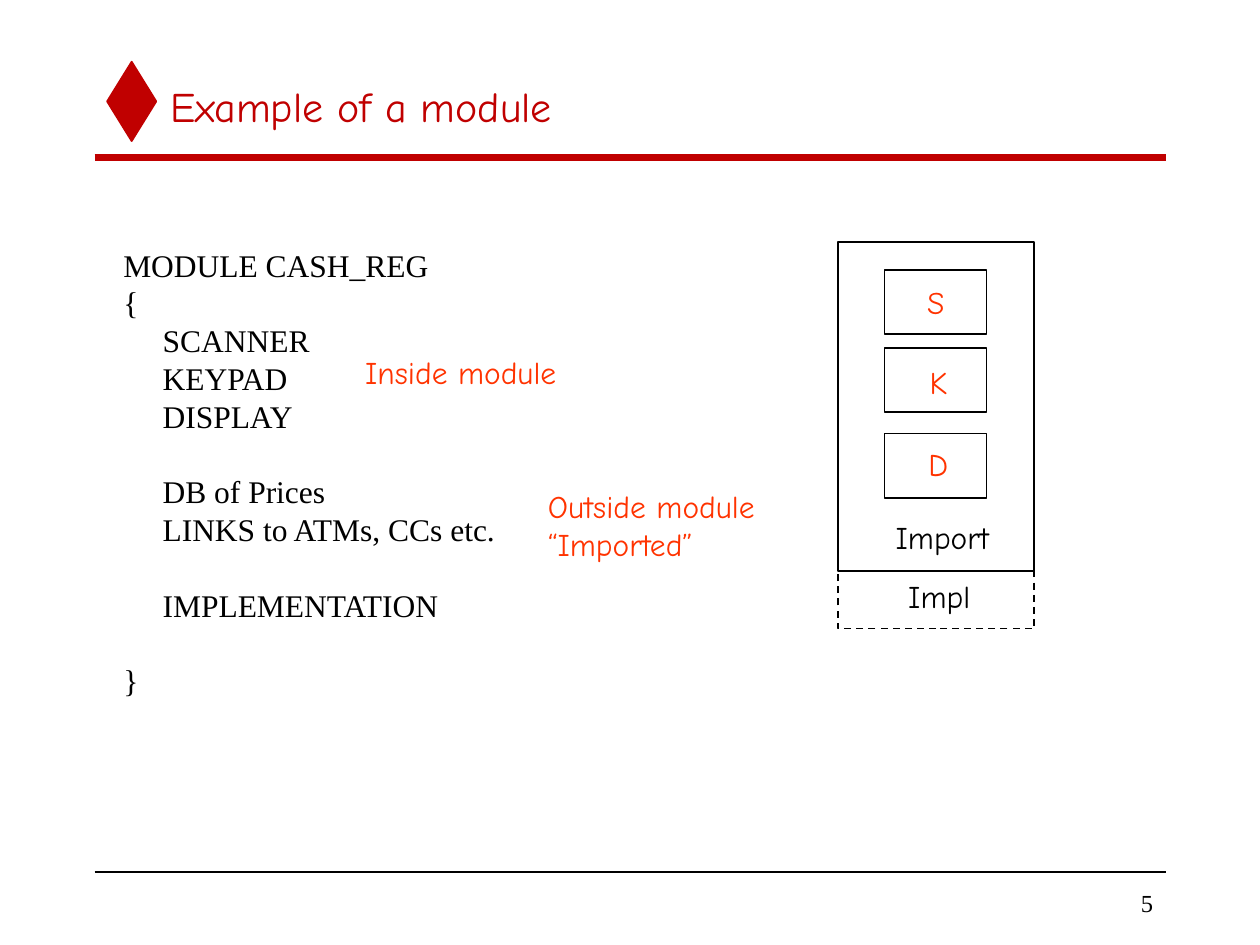
from pptx import Presentation
from pptx.dml.color import RGBColor
from pptx.enum.dml import MSO_LINE_DASH_STYLE as DASH
from pptx.enum.shapes import MSO_CONNECTOR as CONN, MSO_SHAPE as SHAPE
from pptx.enum.text import MSO_ANCHOR as ANCHOR, PP_ALIGN as ALIGN
from pptx.oxml.ns import qn
from pptx.util import Pt
from lxml.etree import SubElement

PX = 9144
COLORS = {"accent": "C00000", "note": "FF3300", "ink": "000000"}
SERIF, HAND = "Times New Roman", "Comic Neue"
LINE_PITCH = Pt(21.6)
CODE = [
    ["MODULE CASH_REG", "{", "     SCANNER", "     KEYPAD", "     DISPLAY"],
    ["     DB of Prices", "     LINKS to ATMs, CCs etc."],
    ["     IMPLEMENTATION"],
    ["}"],
]


def color(name):
    """Return the named palette colour."""
    return RGBColor.from_string(COLORS[name])


def emu(*lengths):
    """Turn px lengths into EMU."""
    return [n * PX for n in lengths]


def add_run(p, text, font, size, ink):
    """Add one formatted run to a paragraph."""
    r = p.add_run()
    r.text = text
    r.font.name, r.font.size = font, Pt(size)
    r.font.color.rgb = color(ink)


def add_text(s, box, groups, font=HAND, ink="ink"):
    """Add a text box whose line groups are one line apart."""
    tf = s.shapes.add_textbox(*emu(*box)).text_frame
    tf.word_wrap = True
    p = tf.paragraphs[0]
    for g, lines in enumerate(groups):
        for i, line in enumerate(lines):
            if g or i:
                p = tf.add_paragraph()
            p.line_spacing = LINE_PITCH
            if g and not i:
                p.space_before = LINE_PITCH
            add_run(p, line, font, 18, ink)


def add_rule(s, x, y, w, ink, weight):
    """Add a horizontal rule."""
    rule = s.shapes.add_connector(CONN.STRAIGHT, *emu(x, y, x + w, y))
    rule.line.color.rgb, rule.line.width = color(ink), Pt(weight)
    SubElement(rule._element.spPr, qn("a:effectLst"))


def add_frame(s, box, dash=None):
    """Add an unfilled rectangle with a thin outline."""
    sp = s.shapes.add_shape(SHAPE.RECTANGLE, *emu(*box))
    sp.shadow.inherit = False
    sp.fill.background()
    sp.line.color.rgb, sp.line.width = color("ink"), Pt(1)
    if dash:
        sp.line.dash_style = dash


def add_header(s, x, y, w):
    """Add the diamond, the title and the rule below them."""
    sp = s.shapes.add_shape(SHAPE.DIAMOND, *emu(x + 10, y, 39, 63))
    sp.shadow.inherit = False
    sp.fill.solid()
    sp.fill.fore_color.rgb = sp.line.color.rgb = color("accent")
    sp.line.width = Pt(1)
    add_rule(s, x, y + 76, w, "accent", 4)
    title = s.shapes.title
    title.left, title.top, title.width, title.height = emu(x + 50, y + 1, w - 50, 67)
    tf = title.text_frame
    tf.vertical_anchor = ANCHOR.MIDDLE
    p = tf.paragraphs[0]
    p.alignment = ALIGN.LEFT
    add_run(p, "Example of a module", HAND, 24, "accent")


def add_footer(s, x, y, w):
    """Add the bottom rule and the slide number."""
    add_rule(s, x, y, w, "ink", 1)
    tf = s.shapes.add_textbox(*emu(x + w - 142, y + 8, 142, 33)).text_frame
    tf.word_wrap = True
    tf.vertical_anchor = ANCHOR.MIDDLE
    p = tf.paragraphs[0]
    p.alignment = ALIGN.RIGHT
    add_run(p, "5", SERIF, 14, "ink")


def add_listing(s, x, y):
    """Add the module listing and the notes beside it."""
    add_text(s, (x, y, 325, 370), CODE, SERIF)
    add_text(s, (x + 192, y + 85, 180, 40), [["Inside module"]], ink="note")
    add_text(s, (x + 337, y + 192, 195, 70), [["Outside module", "“Imported”"]], ink="note")


def add_diagram(s, x, y, w):
    """Add the module box with its parts, import and implementation."""
    add_frame(s, (x, y, w, 261))
    parts = [("S", 22, 61, 28), ("K", 84, 63, 91), ("D", 152, 62, 156)]
    for letter, top, text_x, text_y in parts:
        add_frame(s, (x + 37, y + top, 81, 51))
        add_text(s, (x + text_x, y + text_y, 38, 40), [[letter]], ink="note")
    add_text(s, (x + 36, y + 214, 105, 40), [["Import"]])
    add_frame(s, (x, y + 261, w, 46), DASH.DASH)
    add_text(s, (x + 46, y + 261, 75, 40), [["Impl"]])


def main():
    """Build and save the slide."""
    prs = Presentation()
    prs.slide_width, prs.slide_height = emu(1000, 750)
    s = prs.slides.add_slide(prs.slide_layouts[5])
    add_header(s, 75, 49, 850)
    add_listing(s, 88, 190)
    add_diagram(s, 665, 192, 156)
    add_footer(s, 75, 692, 850)
    prs.save("out.pptx")


if __name__ == "__main__":
    main()
